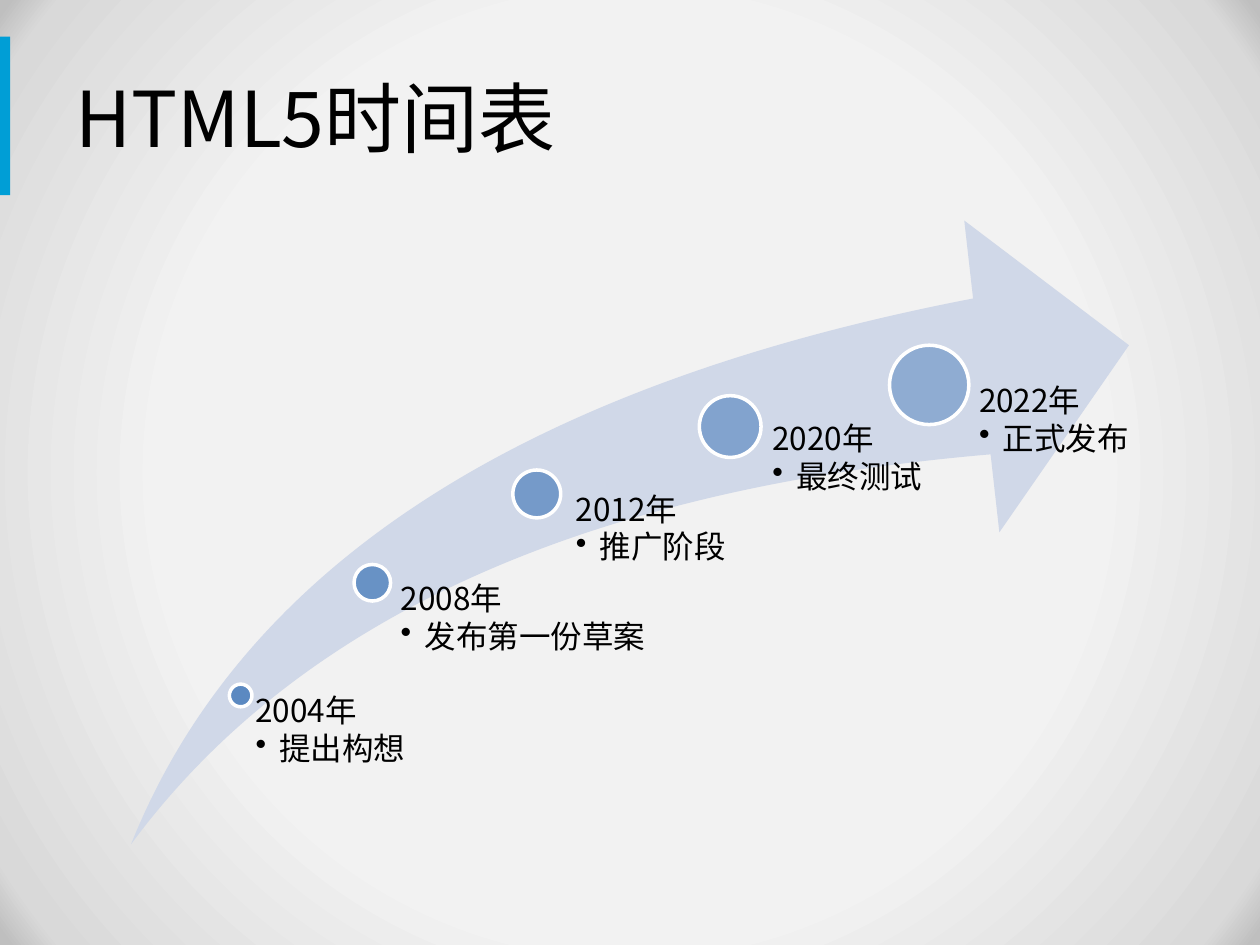
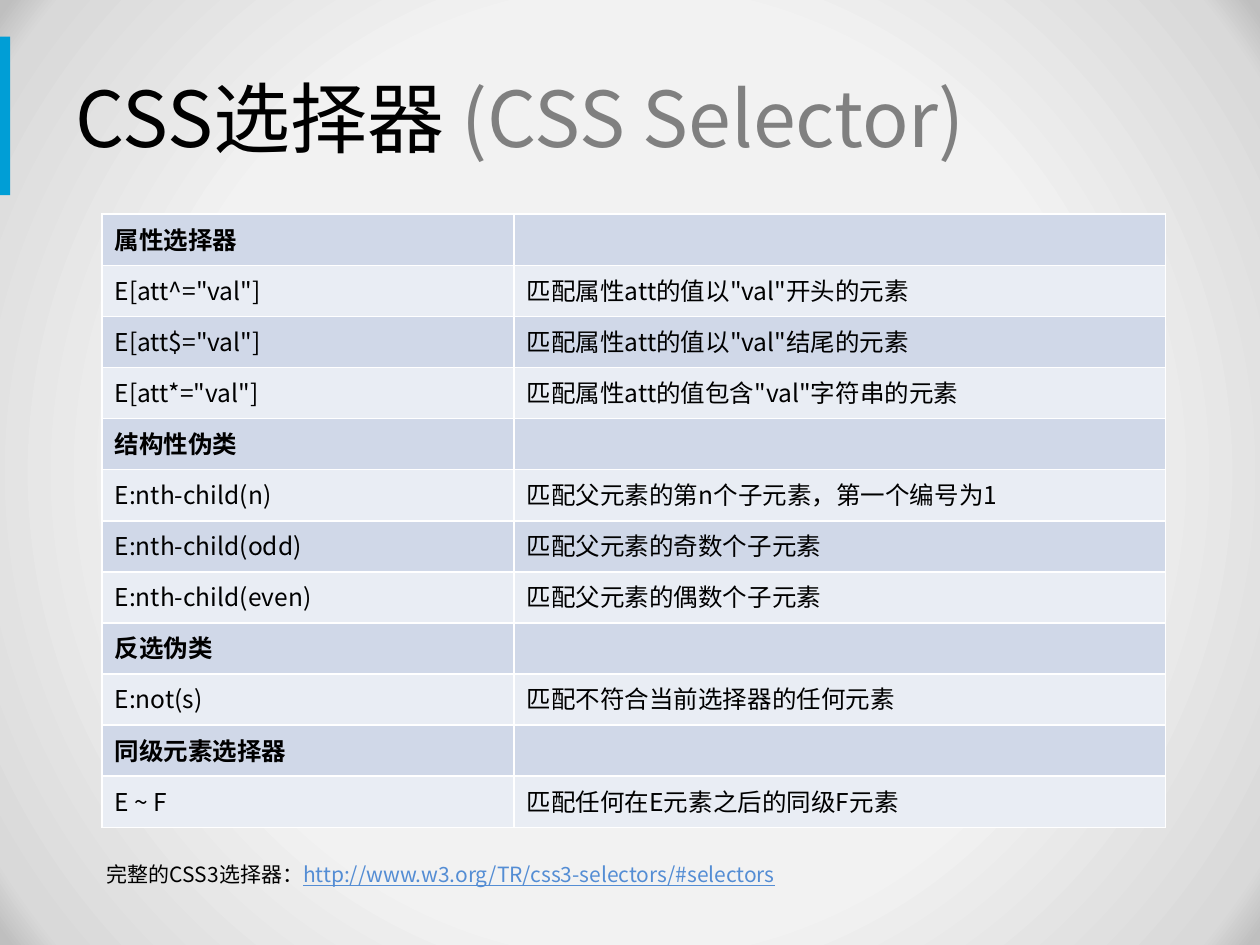
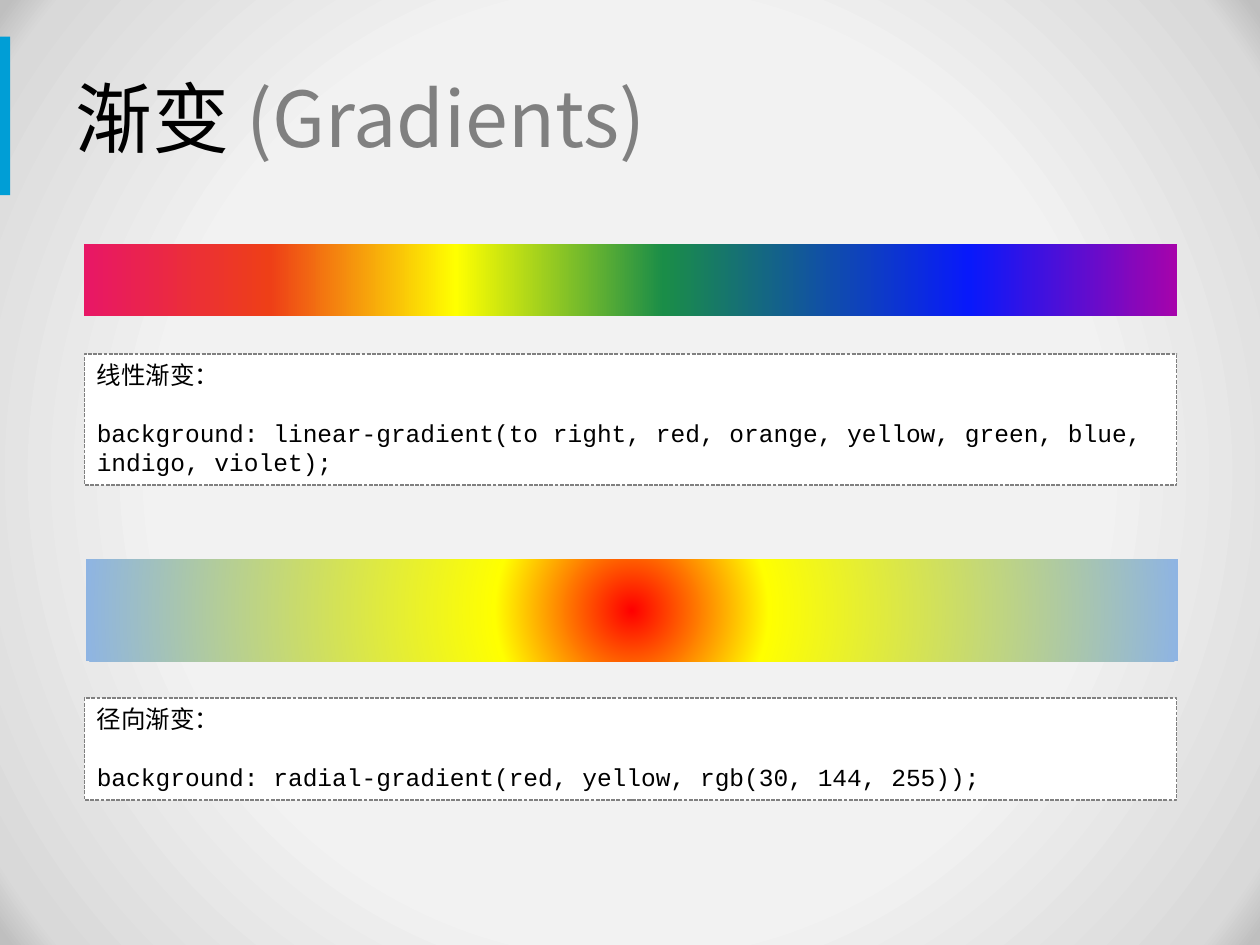
from pptx import Presentation, oxml
from pptx import util as u
from pptx.dml import color
from pptx.enum import dml, shapes, text
from pptx.oxml import ns

FONT = "Noto Sans CJK SC"
CODE_FONT = "Courier New"
BLACK, WHITE, GRAY = "000000", "FFFFFF", "808080"
BAR_BLUE, DOT_BLUE, LINK_BLUE = "009ED6", "4F81BD", "548DD4"
BAND_DARK, BAND_LIGHT = "D0D8E8", "E9EDF4"
rgb = color.RGBColor.from_string


def add_text(paragraph, content, size=18, hue=BLACK, font=FONT, bold=False, underline=False):
    run = paragraph.add_run()
    run.text = content
    run.font.size = u.Pt(size)
    run.font.name = font
    run.font.bold = bold
    run.font.underline = underline
    run.font.color.rgb = rgb(hue)
    east_asian = oxml.parse_xml(f'<a:ea {ns.nsdecls("a")} typeface="{FONT}"/>')
    run.font._element.find(ns.qn("a:latin")).addnext(east_asian)


def set_gradient(owner, element, stops, angle=None):
    """Fill with a linear gradient, or a circular one when no angle is given."""
    owner.fill.gradient()
    stop_xml = "".join(
        f'<a:gs pos="{position * 1000}"><a:srgbClr val="{hue}"/></a:gs>' for position, hue in stops)
    if angle is None:
        direction = ('<a:path path="circle">'
                     '<a:fillToRect l="50000" t="50000" r="50000" b="50000"/></a:path>')
    else:
        direction = f'<a:lin ang="{angle * 60000}" scaled="0"/>'
    old_fill = element.find(".//" + ns.qn("a:gradFill"))
    old_fill.getparent().replace(old_fill, oxml.parse_xml(
        f'<a:gradFill {ns.nsdecls("a")} rotWithShape="1">'
        f'<a:gsLst>{stop_xml}</a:gsLst>{direction}</a:gradFill>'))


presentation = Presentation()
presentation.slide_width = u.Inches(10)
presentation.slide_height = u.Inches(7.5)

# Shared background
master = presentation.slide_master
set_gradient(master.background, master.element, [(59, "F2F2F2"), (94, "D9D9D9"), (99, "BFBFBF")])

# Shared accent bar and titles
titles = [("HTML5时间表", ""), ("CSS选择器 ", "(CSS Selector)"), ("渐变 ", "(Gradients)")]
slides = []
for main_title, subtitle in titles:
    slide = presentation.slides.add_slide(presentation.slide_layouts[6])
    slides.append(slide)
    bar = slide.shapes.add_shape(shapes.MSO_SHAPE.RECTANGLE, u.Inches(-0.04), u.Inches(0.29),
                                 u.Inches(0.12), u.Inches(1.26))
    bar.shadow.inherit = False
    bar.fill.solid()
    bar.fill.fore_color.rgb = rgb(BAR_BLUE)
    bar.line.fill.background()
    title = slide.shapes.add_textbox(u.Inches(0.5), u.Inches(0.3), u.Inches(9), u.Inches(1.25))
    title.text_frame.word_wrap = True
    title.text_frame.vertical_anchor = text.MSO_ANCHOR.MIDDLE
    add_text(title.text_frame.paragraphs[0], main_title, size=44)
    if subtitle:
        add_text(title.text_frame.paragraphs[0], subtitle, size=44, hue=GRAY)

timeline_slide, selector_slide, gradient_slide = slides

# Timeline: swoosh arrow
arrow = timeline_slide.shapes.add_shape(shapes.MSO_SHAPE.SWOOSH_ARROW, u.Inches(1.04),
                                        u.Inches(1.75), u.Inches(7.92), u.Inches(4.95))
arrow.adjustments[0] = 0.25
arrow.adjustments[1] = 0.25
arrow.shadow.inherit = False
arrow.fill.solid()
arrow.fill.fore_color.rgb = rgb(BAND_DARK)
arrow.line.fill.background()

# Timeline: dot left, top, size; label left, top, width, inset
milestones = [
    ("2004年", "提出构想", 1.82, 5.43, 0.18, 1.93, 5.52, 1.83, 0.1),
    ("2008年", "发布第一份草案", 2.81, 4.48, 0.29, 3.03, 4.63, 2.16, 0.15),
    ("2012年", "推广阶段", 4.07, 3.73, 0.38, 4.37, 3.92, 1.83, 0.2),
    ("2020年", "最终测试", 5.55, 3.14, 0.49, 5.87, 3.36, 1.58, 0.26),
    ("2022年", "正式发布", 7.06, 2.74, 0.63, 7.44, 3.06, 1.58, 0.33),
]
LABEL_BOTTOM = 6.7
for index, milestone in enumerate(milestones):
    year, event, dot_left, dot_top, dot_size, left, top, width, inset = milestone
    dot = timeline_slide.shapes.add_shape(shapes.MSO_SHAPE.OVAL, u.Inches(dot_left),
                                          u.Inches(dot_top), u.Inches(dot_size), u.Inches(dot_size))
    dot.shadow.inherit = False
    dot.fill.solid()
    dot.fill.fore_color.rgb = rgb(DOT_BLUE)
    opacity = (90 - 10 * index) * 1000
    dot.element.spPr.find(".//" + ns.qn("a:srgbClr")).append(
        oxml.parse_xml(f'<a:alpha {ns.nsdecls("a")} val="{opacity}"/>'))
    dot.line.color.rgb = rgb(WHITE)
    dot.line.width = u.Pt(2)

    label = timeline_slide.shapes.add_textbox(u.Inches(left), u.Inches(top), u.Inches(width),
                                              u.Inches(LABEL_BOTTOM - top))
    frame = label.text_frame
    frame.word_wrap = True
    frame.margin_left = u.Inches(inset)
    frame.margin_top = frame.margin_right = frame.margin_bottom = 0
    year_paragraph, event_paragraph = frame.paragraphs[0], frame.add_paragraph()
    for paragraph, content in ((year_paragraph, year), (event_paragraph, event)):
        paragraph.line_spacing = 0.9
        paragraph.space_after = u.Pt(2)
        add_text(paragraph, content)
    properties = event_paragraph._p.get_or_add_pPr()
    properties.set("marL", str(u.Inches(0.19)))
    properties.set("indent", str(u.Inches(-0.19)))
    properties.append(oxml.parse_xml(f'<a:buChar {ns.nsdecls("a")} char="•"/>'))

# Selector table: rows without a description are group headings
selectors = [
    ("属性选择器", ""),
    ('E[att^="val"]', '匹配属性att的值以"val"开头的元素'),
    ('E[att$="val"]', '匹配属性att的值以"val"结尾的元素'),
    ('E[att*="val"]', '匹配属性att的值包含"val"字符串的元素'),
    ("结构性伪类", ""),
    ("E:nth-child(n)", "匹配父元素的第n个子元素，第一个编号为1"),
    ("E:nth-child(odd)", "匹配父元素的奇数个子元素"),
    ("E:nth-child(even)", "匹配父元素的偶数个子元素"),
    ("反选伪类", ""),
    ("E:not(s)", "匹配不符合当前选择器的任何元素"),
    ("同级元素选择器", ""),
    ("E ~ F", "匹配任何在E元素之后的同级F元素"),
]
table = selector_slide.shapes.add_table(len(selectors), 2, u.Inches(0.81), u.Inches(1.7),
                                        u.Inches(8.44), u.Inches(4.87)).table
table.columns[0].width = u.Inches(3.27)
table.columns[1].width = u.Inches(5.17)
for row_index, row in enumerate(selectors):
    for column_index, content in enumerate(row):
        cell = table.cell(row_index, column_index)
        add_text(cell.text_frame.paragraphs[0], content, size=14, bold=not row[1])
        cell_properties = cell._tc.get_or_add_tcPr()
        for side in ("lnL", "lnR", "lnT", "lnB"):
            cell_properties.append(oxml.parse_xml(
                f'<a:{side} {ns.nsdecls("a")} w="{u.Pt(1)}"><a:solidFill>'
                f'<a:srgbClr val="{WHITE}"/></a:solidFill></a:{side}>'))
        cell.fill.solid()
        cell.fill.fore_color.rgb = rgb(BAND_LIGHT if row_index % 2 else BAND_DARK)

# Selector reference
reference = selector_slide.shapes.add_textbox(u.Inches(0.75), u.Inches(6.79),
                                              u.Inches(6.52), u.Inches(0.3))
reference.text_frame.word_wrap = True
reference_paragraph = reference.text_frame.paragraphs[0]
add_text(reference_paragraph, "完整的CSS3选择器：", size=12)
add_text(reference_paragraph, "http://www.w3.org/TR/css3-selectors/#selectors",
         size=12, hue=LINK_BLUE, underline=True)

# Gradient samples: left, top, height, stops, angle
rainbow = [(0, "A603AB"), (19, "0819FB"), (47, "1A8D48"),
           (66, "FFFF00"), (83, "EE3F17"), (100, "E81766")]
sunburst = [(0, "FF0000"), (25, "FFFF00"), (100, "8EB4E3")]
samples = [(0.67, 1.94, 0.57, rainbow, 180), (0.68, 4.44, 0.81, sunburst, None)]
for left, top, height, stops, angle in samples:
    sample = gradient_slide.shapes.add_shape(shapes.MSO_SHAPE.RECTANGLE, u.Inches(left),
                                             u.Inches(top), u.Inches(8.67), u.Inches(height))
    sample.shadow.inherit = False
    set_gradient(sample, sample.element, stops, angle)
    sample.line.fill.background()

# Gradient code boxes: top, height, heading, code
code_boxes = [
    (2.81, 1.04, "线性渐变：", "background: linear-gradient(to right, red, orange, yellow, "
                           "green, blue, indigo, violet);"),
    (5.54, 0.81, "径向渐变：", "background: radial-gradient(red, yellow, rgb(30, 144, 255));"),
]
for top, height, heading, code in code_boxes:
    box = gradient_slide.shapes.add_shape(shapes.MSO_SHAPE.RECTANGLE, u.Inches(0.67),
                                          u.Inches(top), u.Inches(8.67), u.Inches(height))
    box.shadow.inherit = False
    box.fill.solid()
    box.fill.fore_color.rgb = rgb(WHITE)
    box.line.color.rgb = rgb(GRAY)
    box.line.width = u.Pt(0.75)
    box.line.dash_style = dml.MSO_LINE.SQUARE_DOT
    frame = box.text_frame
    frame.word_wrap = True
    frame.vertical_anchor = text.MSO_ANCHOR.TOP
    heading_paragraph, code_paragraph = frame.paragraphs[0], frame.add_paragraph()
    code_paragraph.space_before = u.Pt(16)
    for paragraph, content in ((heading_paragraph, heading), (code_paragraph, code)):
        paragraph.alignment = text.PP_ALIGN.LEFT
        add_text(paragraph, content, size=14, font=CODE_FONT)

presentation.save("out.pptx")
